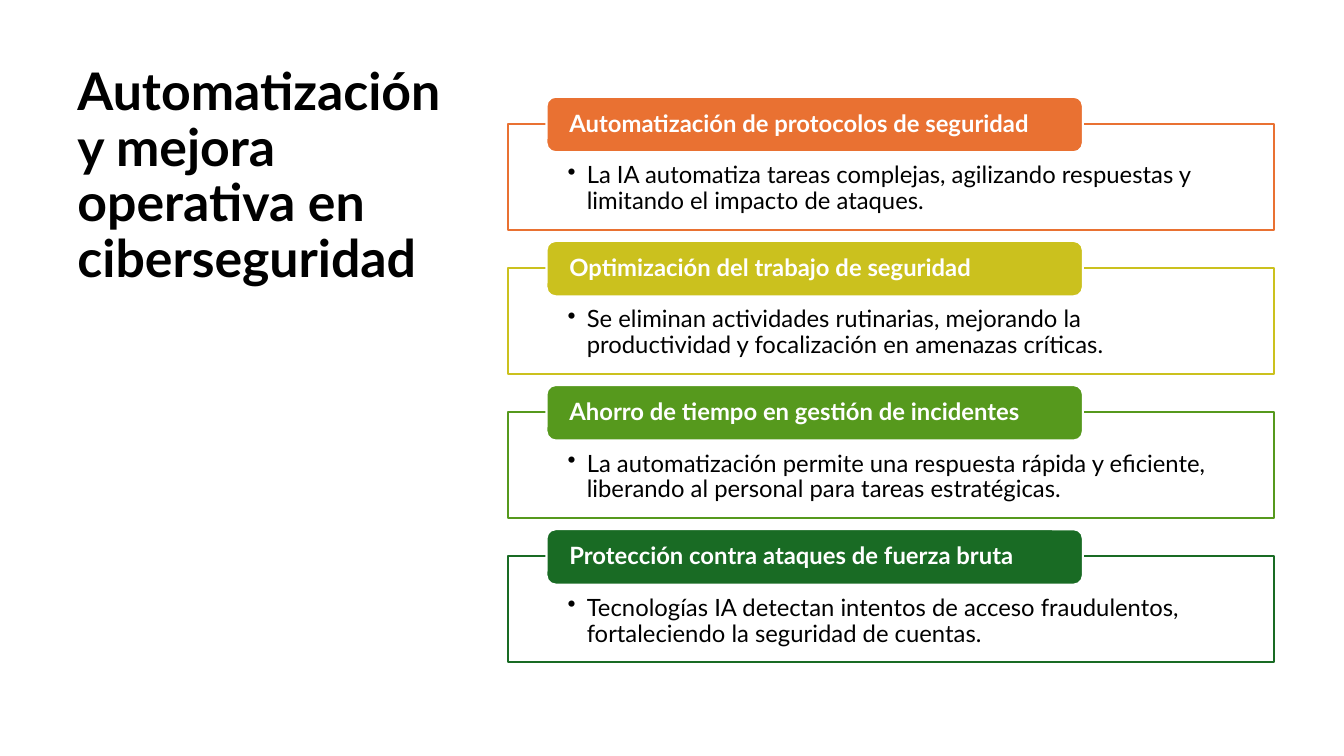
from lxml import etree
from pptx import Presentation
from pptx.dml.color import RGBColor
from pptx.enum import shapes, text
from pptx.oxml.ns import qn
from pptx.util import Inches, Pt

FONT = "Lato"
BLACK = RGBColor(0x00, 0x00, 0x00)
WHITE = RGBColor(0xFF, 0xFF, 0xFF)
ORANGE = RGBColor(0xE9, 0x71, 0x32)
YELLOW = RGBColor(0xCB, 0xC1, 0x1E)
GREEN = RGBColor(0x56, 0x99, 0x1D)
DARK_GREEN = RGBColor(0x19, 0x6B, 0x24)

TITLE = "Automatización y mejora operativa en ciberseguridad"
SECTIONS = [
    (ORANGE, "Automatización de protocolos de seguridad",
     "La IA automatiza tareas complejas, agilizando respuestas y limitando el impacto de ataques."),
    (YELLOW, "Optimización del trabajo de seguridad",
     "Se eliminan actividades rutinarias, mejorando la productividad y focalización en amenazas críticas."),
    (GREEN, "Ahorro de tiempo en gestión de incidentes",
     "La automatización permite una respuesta rápida y eficiente, liberando al personal para tareas estratégicas."),
    (DARK_GREEN, "Protección contra ataques de fuerza bruta",
     "Tecnologías IA detectan intentos de acceso fraudulentos, fortaleciendo la seguridad de cuentas."),
]
FIRST_TAB_TOP = 0.96
SECTION_PITCH = 1.43
BOX_OFFSET = 0.27


def write_text(shape, content, size, color, bold, anchor, insets):
    """Fill the shape with one left-aligned paragraph; insets are left, top, right, bottom."""
    frame = shape.text_frame
    frame.word_wrap = True
    frame.vertical_anchor = anchor
    (frame.margin_left, frame.margin_top,
     frame.margin_right, frame.margin_bottom) = map(Inches, insets)
    paragraph = frame.paragraphs[0]
    paragraph.alignment = text.PP_ALIGN.LEFT
    paragraph.line_spacing = 0.9
    run = paragraph.add_run()
    run.text = content
    run.font.name = FONT
    run.font.size = Pt(size)
    run.font.bold = bold
    run.font.color.rgb = color
    return paragraph


def add_bullet(paragraph):
    properties = paragraph._p.get_or_add_pPr()
    properties.set("marL", str(Inches(0.19)))
    properties.set("indent", str(Inches(-0.19)))
    etree.SubElement(properties, qn("a:buChar")).set("char", "•")


def add_panel(slide, kind, position, fill, line):
    shape = slide.shapes.add_shape(kind, *map(Inches, position))
    shape.shadow.inherit = False
    shape.fill.solid()
    shape.fill.fore_color.rgb = fill
    shape.line.color.rgb = line
    shape.line.width = Pt(1.5)
    return shape


def set_opacity(shape, percent):
    color = shape._element.spPr.find(qn("a:solidFill")).find(qn("a:srgbClr"))
    etree.SubElement(color, qn("a:alpha")).set("val", str(percent * 1000))


def add_title(slide):
    title = slide.shapes.add_textbox(Inches(0.67), Inches(0.6), Inches(3.82), Inches(6.33))
    write_text(title, TITLE, 37, BLACK, True, text.MSO_ANCHOR.TOP, (0.1, 0.05, 0.1, 0.05))


def add_section(slide, top, color, heading, detail):
    """Add an outlined detail box with a coloured heading tab over its top edge."""
    box = add_panel(slide, shapes.MSO_SHAPE.RECTANGLE,
                    (5.04, top + BOX_OFFSET, 7.6, 1.05), WHITE, color)
    set_opacity(box, 90)
    paragraph = write_text(box, detail, 17, BLACK, False, text.MSO_ANCHOR.TOP,
                           (0.59, 0.39, 0.59, 0.13))
    add_bullet(paragraph)
    tab = add_panel(slide, shapes.MSO_SHAPE.ROUNDED_RECTANGLE,
                    (5.42, top, 5.32, 0.55), color, WHITE)
    write_text(tab, heading, 17, WHITE, True, text.MSO_ANCHOR.MIDDLE, (0.2, 0, 0.2, 0))


def main():
    presentation = Presentation()
    presentation.slide_width = Inches(13.33)
    presentation.slide_height = Inches(7.5)
    slide = presentation.slides.add_slide(presentation.slide_layouts[6])
    add_title(slide)
    for index, section in enumerate(SECTIONS):
        add_section(slide, FIRST_TAB_TOP + index * SECTION_PITCH, *section)
    presentation.save("out.pptx")


if __name__ == "__main__":
    main()
